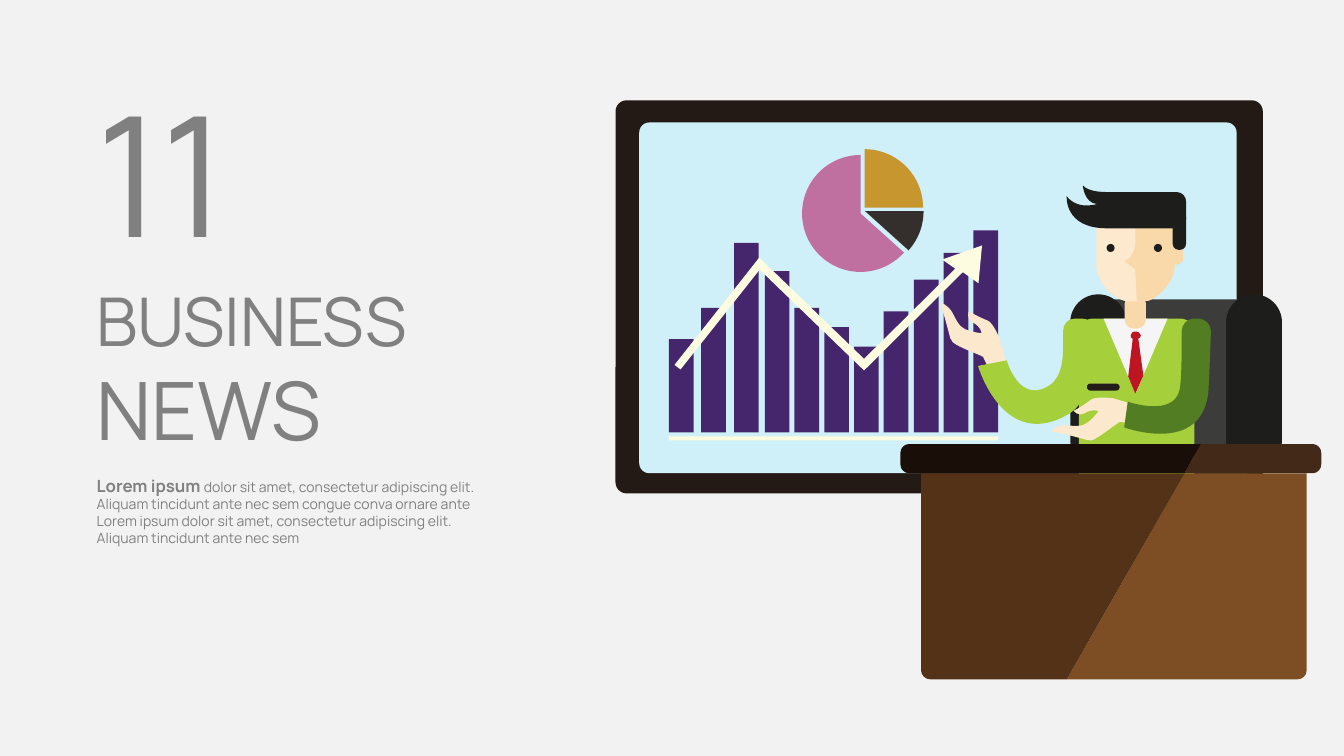
from pptx import Presentation
from pptx import util as u
from pptx.dml.color import RGBColor
from pptx.enum import shapes, text
from pptx.oxml import ns

KIND = shapes.MSO_SHAPE
GREY, BLACK, CREAM = "808080", "1D1D1B", "FDFCE0"
SKIN, SHADE, HAND = "FCE9CE", "F9D8A9", "FCE9CD"
LIME, GREEN = "A6CF3C", "527D22"

BARS = [(106, 185), (170, 247), (235, 376), (296, 320), (355, 247), (414, 209),
        (473, 170), (532, 240), (592, 303), (651, 356), (710, 401)]
WEDGES = [("C7962F", 494, 213, 270, 0), ("BF6FA0", 486, 224.5, 42, 270),
          ("342F2D", 495, 220, 0, 42)]
ARROW = ("M 648 316 L 674 334 L 493 513 L 285 312 L 275 325 L 117 525 L 129 534 "
         "L 286 336 L 493 536 L 689 341 L 720 363 L 727 288")
TIE = ("M 393 304 C 396 303 399 300 398 297 C 394 292 394 290 390 290 L 385 290 "
       "C 381 290 381 292 378 297 C 376 300 379 304 382 304 L 373 379 L 387 413 L 403 377")
FACE = ("M 403 24 L 372 24 C 338 24 310 52 310 86 L 310 160 C 310 194 348 230 374 230 "
        "L 405 230 C 426 230 465 194 465 160 L 465 86 C 465 52 437 24 403 24")
FACE_SHADE = ("M 469 122 L 465 123 L 465 86 C 465 52 437 24 403 24 L 387 24 L 387 113 "
              "C 387 117 385 134 377 143 C 371 148 365 150 365 150 L 387 166 L 390 230 "
              "L 405 230 C 426 230 465 194 465 160 L 465 156 L 469 157 "
              "C 477 157 482 151 482 144 L 482 134 C 482 127 477 122 469 122")
HAIR = ("M 469 13 L 330 13 C 319 13 294 12 283 0 C 283 0 285 34 311 37 "
        "C 311 37 288 43 273 37 C 256 31 251 21 251 21 C 251 21 245 85 331 85 "
        "L 469 85 C 480 85 488 76 488 65 L 488 33 C 488 22 480 13 469 13")
RAISED_HAND = ("M 94 268 C 78 262 57 250 57 250 C 57 250 50 264 65 272 "
               "C 82 281 82 293 82 293 C 82 293 55 291 43 281 C 31 272 27 252 17 243 "
               "C 5 231 0 234 0 234 C 0 234 6 249 20 303 C 22 308 22 312 46 323 "
               "C 64 331 80 337 85 340 L 99 369 C 103 375 128 369 130 359 "
               "C 132 350 118 304 118 304 C 118 304 105 272 94 268")
LOWER_HAND = ("M 299 425 C 286 436 265 447 265 447 C 265 447 273 460 288 451 "
              "C 304 442 314 448 314 448 C 314 448 299 469 284 475 "
              "C 270 480 251 474 238 477 C 222 481 221 488 221 488 "
              "C 221 488 238 490 291 505 C 296 507 299 509 321 494 "
              "C 337 483 351 472 356 469 L 388 473 C 395 473 403 448 396 441 "
              "C 389 435 342 422 342 422 C 342 422 308 418 299 425")
FOLDED_SLEEVE = ("M 372 429 L 365 480 C 365 480 519 537 532 409 C 534 379 537 289 537 289 "
                 "C 537 276 526 264 512 264 L 503 264 C 490 264 479 276 479 289 "
                 "C 479 289 480 379 475 405 C 463 461 372 429 372 429")
RAISED_SLEEVE = ("M 306 288 C 306 275 295 264 282 264 L 267 264 C 254 264 244 275 244 288 "
                 "L 244 321 C 243 340 244 383 211 400 C 155 430 132 347 132 347 L 75 358 "
                 "C 75 358 126 532 257 452 C 296 428 295 365 299 333 "
                 "C 303 329 306 323 306 317")
DESK = [
    ("7D4E24", "M 330 467 L 787 467 C 798 467 806 459 806 449 L 806 58 L 564 58"),
    ("432918", "M 818 0 L 596 0 L 583 23 L 564 58 L 818 58 C 827 58 835 50 835 40 "
               "L 835 18 C 835 8 827 0 818 0"),
    ("543217", "M 41 58 L 41 449 C 41 459 50 467 60 467 L 330 467 L 564 58"),
    ("190E08", "M 17 0 C 8 0 0 8 0 18 L 0 40 C 0 50 8 58 17 58 L 564 58 L 583 23 L 596 0"),
]


def length(units):
    """Turn hundredths of an inch into a slide length."""
    return u.Cm(units * 0.0254)


def colour(code):
    """Turn a hex string into a colour."""
    return RGBColor.from_string(code)


def paint(shape, code):
    """Give a shape a flat fill with no line or shadow."""
    shape.shadow.inherit = False
    shape.fill.solid()
    shape.fill.fore_color.rgb = colour(code)
    shape.line.fill.background()


def block(page, box, place, code, kind=KIND.RECTANGLE, adjustments=()):
    """Add a preset shape placed relative to a box."""
    left, top, width, height = place
    shape = page.shapes.add_shape(kind, length(box[0] + left), length(box[1] + top),
                                  length(width), length(height))
    for index, value in enumerate(adjustments):
        shape.adjustments[index] = value
    paint(shape, code)


def rounded(page, box, place, code, radius):
    """Add a rounded rectangle placed relative to a box."""
    block(page, box, place, code, KIND.ROUNDED_RECTANGLE, [radius / min(place[2:])])


def outline(page, box, route, code):
    """Add a closed outline of lines and cubic curves relative to a box."""
    values = [float(word) for word in route.split() if word not in "MLC"]
    points = [(length(box[0] + x), length(box[1] + y))
              for x, y in zip(values[::2], values[1::2])]
    builder = page.shapes.build_freeform(*points[0])
    builder.add_line_segments(points[1:], close=True)
    shape = builder.convert_to_shape()
    segments = iter(shape.element.xpath(".//a:lnTo"))
    for letter in (word for word in route.split() if word in "LC"):
        segment = next(segments)
        if letter == "C":
            segment.tag = ns.qn("a:cubicBezTo")
            for extra in (next(segments), next(segments)):
                segment.append(extra[0])
                extra.getparent().remove(extra)
    paint(shape, code)


def draw_screen(page, box):
    """Draw the screen with its bars, trend arrow and pie."""
    rounded(page, box, (0, 0, 1284, 780), "231A15", 22)
    rounded(page, box, (47, 44, 1185, 696), "CFEFF9", 20)
    block(page, box, (106, 667, 653, 8), CREAM)
    for left, height in BARS:
        block(page, box, (left, 659 - height, 49, height), "45266C")
    outline(page, box, ARROW, CREAM)
    for code, x, y, start, end in WEDGES:
        block(page, box, (x - 116, y - 116, 232, 232), code, KIND.PIE,
              [start * 0.6, end * 0.6])


def draw_presenter(page, box):
    """Draw the presenter in the chair."""
    rounded(page, box, (313, 226, 296, 391), "3C3C3B", 20)
    for left in (567, 258):
        rounded(page, box, (left, 216, 111, 344), BLACK, 55.5)
    rounded(page, box, (275, 264, 229, 376), LIME, 28)
    block(page, box, (324, 264, 127, 149), "F5F5F5", KIND.FLOWCHART_MERGE)
    rounded(page, box, (366, 216, 42, 68), SHADE, 18)
    for route, code in ((TIE, "BD1622"), (FACE, SKIN), (FACE_SHADE, SHADE),
                        (HAIR, BLACK), (RAISED_HAND, HAND)):
        outline(page, box, route, code)
    rounded(page, box, (461, 50, 27, 78), BLACK, 13)
    for left in (424, 330):
        block(page, box, (left, 116, 16, 16), BLACK, KIND.OVAL)
    outline(page, box, LOWER_HAND, HAND)
    rounded(page, box, (291, 393, 65, 14), "231C18", 7)
    outline(page, box, FOLDED_SLEEVE, GREEN)
    outline(page, box, RAISED_SLEEVE, LIME)


def draw_desk(page, box):
    """Draw the two-tone desk."""
    for code, route in DESK:
        outline(page, box, route, code)


def write(page, box, paragraphs):
    """Write paragraphs of (words, size, bold) spans in a box."""
    frame = page.shapes.add_textbox(*map(length, box)).text_frame
    frame.word_wrap = True
    frame.auto_size = text.MSO_AUTO_SIZE.SHAPE_TO_FIT_TEXT
    for index, spans in enumerate(paragraphs):
        para = frame.add_paragraph() if index else frame.paragraphs[0]
        para.font.name = "Manrope"
        para.font.color.rgb = colour(GREY)
        for words, size, bold in spans:
            span = para.add_run()
            span.text = words
            span.font.size = u.Pt(size)
            span.font.bold = bold


def main():
    """Build and save the slide."""
    deck = Presentation()
    deck.slide_width, deck.slide_height = length(2666), length(1500)
    page = deck.slides.add_slide(deck.slide_layouts[6])
    page.background.fill.solid()
    page.background.fill.fore_color.rgb = colour("F2F2F2")
    draw_screen(page, (1221, 199))
    draw_presenter(page, (1865, 368))
    draw_desk(page, (1786, 881))
    write(page, (182, 549, 893, 365), [[("BUSINESS", 96, False)], [("NEWS", 115, False)]])
    write(page, (182, 135, 833, 412), [[("11", 239, False)]])
    write(page, (182, 939, 833, 151), [[
        ("Lorem ipsum ", 24, True),
        ("dolor sit amet, consectetur adipiscing elit. Aliquam tincidunt ante nec sem "
         "congue conva ornare ante Lorem ipsum dolor sit amet, consectetur adipiscing "
         "elit. Aliquam tincidunt ante nec sem", 20, False)]])
    deck.save("out.pptx")


if __name__ == "__main__":
    main()
